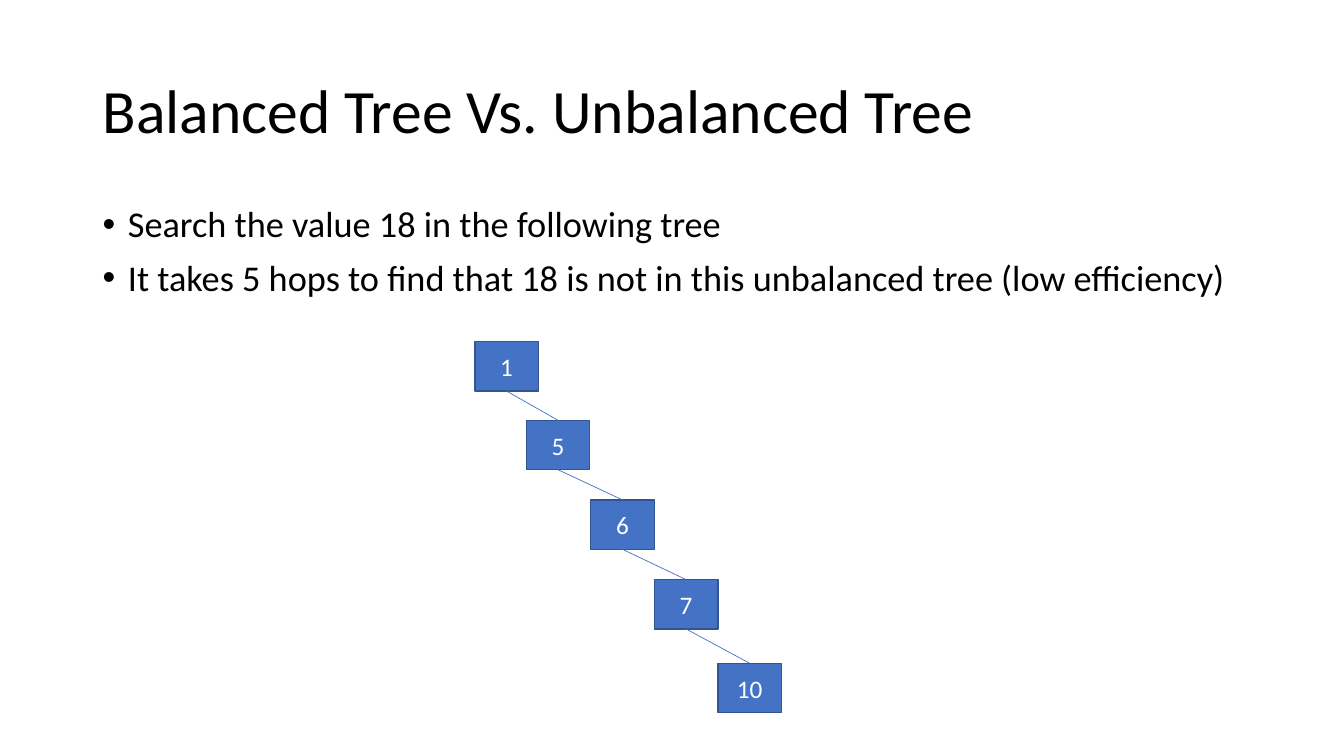
from lxml import etree
from pptx import Presentation, util as u
from pptx.dml.color import RGBColor
from pptx.enum import shapes, text
from pptx.oxml import ns

BLACK = RGBColor(0x00, 0x00, 0x00)
WHITE = RGBColor(0xFF, 0xFF, 0xFF)
BLUE = RGBColor(0x44, 0x72, 0xC4)
DARK_BLUE = RGBColor(0x32, 0x54, 0x91)

NODE_WIDTH, NODE_HEIGHT = 0.63, 0.49
# Value, left and top of each node, from the root down
NODES = [("1", 4.71, 3.39), ("5", 5.22, 4.17), ("6", 5.86, 4.96),
         ("7", 6.49, 5.75), ("10", 7.12, 6.58)]
BULLETS = [
    "Search the value 18 in the following tree",
    "It takes 5 hops to find that 18 is not in this unbalanced tree (low efficiency)",
]


def write(paragraph, words, *, size, color=BLACK, align=text.PP_ALIGN.LEFT,
          spacing=1.0, before=0, bullet=False):
    if bullet:
        properties = paragraph._p.get_or_add_pPr()
        properties.set("marL", str(u.Inches(0.25)))
        properties.set("indent", str(u.Inches(-0.25)))
        etree.SubElement(properties, ns.qn("a:buFont")).set("typeface", "Arial")
        etree.SubElement(properties, ns.qn("a:buChar")).set("char", "•")
    paragraph.alignment = align
    paragraph.line_spacing = spacing
    paragraph.space_before = u.Pt(before)
    run = paragraph.add_run()
    run.text = words
    run.font.name = "Calibri"
    run.font.size = u.Pt(size)
    run.font.color.rgb = color


class TreeSlide:
    def __init__(self, presentation):
        self.slide = presentation.slides.add_slide(presentation.slide_layouts[6])

    def text_box(self, lines, left, top, width, height,
                 anchor=text.MSO_ANCHOR.TOP, before=0, **style):
        box = self.slide.shapes.add_textbox(*map(u.Inches, (left, top, width, height)))
        frame = box.text_frame
        frame.word_wrap = True
        frame.vertical_anchor = anchor
        for index, line in enumerate(lines):
            paragraph = frame.add_paragraph() if index else frame.paragraphs[0]
            write(paragraph, line, before=before if index else 0, **style)

    def node(self, value, left, top):
        shape = self.slide.shapes.add_shape(
            shapes.MSO_SHAPE.RECTANGLE,
            *map(u.Inches, (left, top, NODE_WIDTH, NODE_HEIGHT)))
        shape.shadow.inherit = False
        shape.fill.solid()
        shape.fill.fore_color.rgb = BLUE
        shape.line.color.rgb = DARK_BLUE
        shape.line.width = u.Pt(1)
        shape.text_frame.vertical_anchor = text.MSO_ANCHOR.MIDDLE
        write(shape.text_frame.paragraphs[0], value, size=18, color=WHITE,
              align=text.PP_ALIGN.CENTER)
        return shape

    def edge(self, parent, child):
        connector = self.slide.shapes.add_connector(
            shapes.MSO_CONNECTOR.STRAIGHT, 0, 0, 0, 0)
        # Rectangle sites: 2 is the bottom centre, 0 the top centre
        connector.begin_connect(parent, 2)
        connector.end_connect(child, 0)
        connector.line.color.rgb = BLUE
        connector.line.width = u.Pt(0.5)
        etree.SubElement(connector._element.spPr, ns.qn("a:effectLst"))


def main():
    presentation = Presentation()
    presentation.slide_width = u.Inches(13.33)
    presentation.slide_height = u.Inches(7.5)
    tree = TreeSlide(presentation)

    # Title and bullets
    tree.text_box(["Balanced Tree Vs. Unbalanced Tree"], 0.92, 0.4, 11.5, 1.45,
                  anchor=text.MSO_ANCHOR.MIDDLE, size=44, spacing=0.9)
    tree.text_box(BULLETS, 0.92, 2, 11.92, 1.35,
                  size=25.9, spacing=0.9, before=10, bullet=True)

    # Unbalanced tree
    nodes = [tree.node(*node) for node in NODES]
    for parent, child in zip(nodes, nodes[1:]):
        tree.edge(parent, child)

    presentation.save("out.pptx")


if __name__ == "__main__":
    main()
